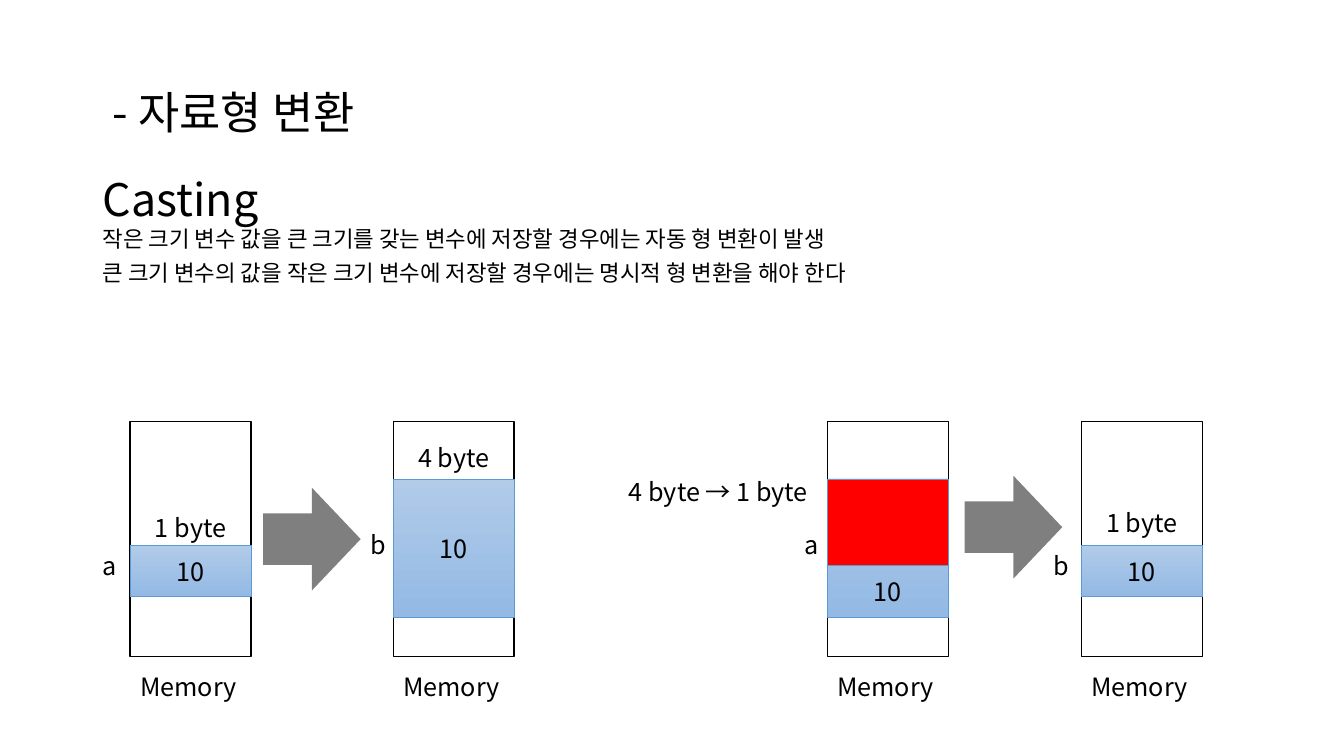
"""Build the slide on casting between data types, with four memory diagrams."""
import dataclasses

import lxml.etree
import pptx
import pptx.dml.color
import pptx.enum.shapes
import pptx.enum.text
import pptx.oxml.ns
import pptx.util

Cm, Pt = pptx.util.Cm, pptx.util.Pt
Color = pptx.dml.color.RGBColor.from_string
Align = pptx.enum.text.PP_ALIGN
Anchor = pptx.enum.text.MSO_ANCHOR
Preset = pptx.enum.shapes.MSO_SHAPE
qn = pptx.oxml.ns.qn


@dataclasses.dataclass(frozen=True)
class Theme:
    font: str = "Noto Sans CJK KR"
    black: str = "000000"
    white: str = "FFFFFF"
    red: str = "FF0000"
    block_top: str = "B1CBE9"
    block_bottom: str = "93B9E4"
    block_line: str = "5B9BD5"
    title_size: int = 32
    body_size: int = 16
    label_size: int = 18


theme = Theme()


def write_text(shape, lines, size=theme.label_size, frame_format=None, **paragraph_format):
    frame = shape.text_frame
    for name, value in {"word_wrap": True, **(frame_format or {})}.items():
        setattr(frame, name, value)
    space_before = paragraph_format.pop("space_before", None)
    for index, line in enumerate(lines):
        paragraph = frame.add_paragraph() if index else frame.paragraphs[0]
        for name, value in paragraph_format.items():
            setattr(paragraph, name, value)
        paragraph.space_before = space_before if index else Pt(0)
        run = paragraph.add_run()
        run.text = line
        run.font.color.rgb = Color(theme.black)
        for name, value in {"name": theme.font, "size": Pt(size)}.items():
            setattr(run.font, name, value)
        east_asian = lxml.etree.SubElement(run._r.get_or_add_rPr(), qn("a:ea"))
        east_asian.set("typeface", theme.font)


def add_block(preset, box, fill, line=None, line_width=1):
    shape = slide.shapes.add_shape(preset, *map(Cm, box))
    shape.shadow.inherit = False
    if isinstance(fill, tuple):
        shape.fill.gradient()
        shape.fill.gradient_angle = 270
        for stop, color in zip(shape.fill.gradient_stops, fill):
            stop.color.rgb = Color(color)
    else:
        shape.fill.solid()
        shape.fill.fore_color.rgb = Color(fill)
    if line:
        shape.line.color.rgb = Color(line)
        shape.line.width = Pt(line_width)
    else:
        shape.line.fill.background()
    return shape


presentation = pptx.Presentation()
presentation.slide_width, presentation.slide_height = Cm(33.87), Cm(19.05)
slide = presentation.slides.add_slide(presentation.slide_layouts[6])

title = slide.shapes.add_textbox(Cm(2.34), Cm(1.27), Cm(27.38), Cm(4.45))
write_text(title, [" - 자료형 변환", "Casting"], theme.title_size,
           {"vertical_anchor": Anchor.BOTTOM, "margin_bottom": Cm(0.05)},
           line_spacing=0.74, space_before=Pt(34.3))

body = slide.shapes.add_textbox(Cm(2.34), Cm(5.72), Cm(27.18), Cm(1.85))
write_text(body, ["작은 크기 변수 값을 큰 크기를 갖는 변수에 저장할 경우에는 자동 형 변환이 발생",
                  "큰 크기 변수의 값을 작은 크기 변수에 저장할 경우에는 명시적 형 변환을 해야 한다"],
           theme.body_size, line_spacing=0.74, space_before=Pt(10))

memory_width, memory_top, memory_height = 3.05, 10.62, 5.92
label_height = 1.02
lost_height = 2.18
one_byte = {"top": 13.74, "height": 1.3, "name_top": 13.74, "name_width": 0.94}
four_byte = {"top": 12.07, "height": 3.48, "name_top": 13.21, "name_width": 0.82}
caption_left = Align.LEFT
memories = [
    (3.28, "a", one_byte, 0, "1 byte", (3.28, 12.78, memory_width), Align.CENTER),
    (9.91, "b", four_byte, 0, "4 byte", (9.91, 11.02, memory_width), Align.CENTER),
    (20.85, "a", four_byte, lost_height, "4 byte → 1 byte", (15.6, 11.89, 5.72), caption_left),
    (27.25, "b", one_byte, 0, "1 byte", (27.25, 12.67, memory_width), Align.CENTER),
]
for left, variable, value, lost, caption, caption_box, caption_align in memories:
    add_block(Preset.RECTANGLE, (left, memory_top, memory_width, memory_height),
              theme.white, theme.black)
    block = add_block(Preset.RECTANGLE, (left, value["top"], memory_width, value["height"]),
                      (theme.block_top, theme.block_bottom), theme.block_line, 0.5)
    write_text(block, ["10"], frame_format={"vertical_anchor": Anchor.MIDDLE,
                                            "margin_top": Cm(lost + 0.13)},
               alignment=Align.CENTER)
    if lost:
        add_block(Preset.RECTANGLE, (left, value["top"], memory_width, lost),
                  theme.red, theme.block_line, 0.5)
    labels = [
        (variable, (left - value["name_width"], value["name_top"], value["name_width"]), Align.LEFT),
        ("Memory", (left, 16.79, memory_width), Align.LEFT),
        (caption, caption_box, caption_align),
    ]
    for text, box, alignment in labels:
        label = slide.shapes.add_textbox(*map(Cm, (*box, label_height)))
        write_text(label, [text], alignment=alignment)

for left, top in [(6.63, 12.29), (24.31, 11.99)]:
    arrow = add_block(Preset.RIGHT_ARROW, (left, top, 2.46, 2.59), theme.black)
    arrow_color = arrow._element.spPr.find(qn("a:solidFill"))[0]
    lxml.etree.SubElement(arrow_color, qn("a:alpha")).set("val", "50000")

presentation.save("out.pptx")
